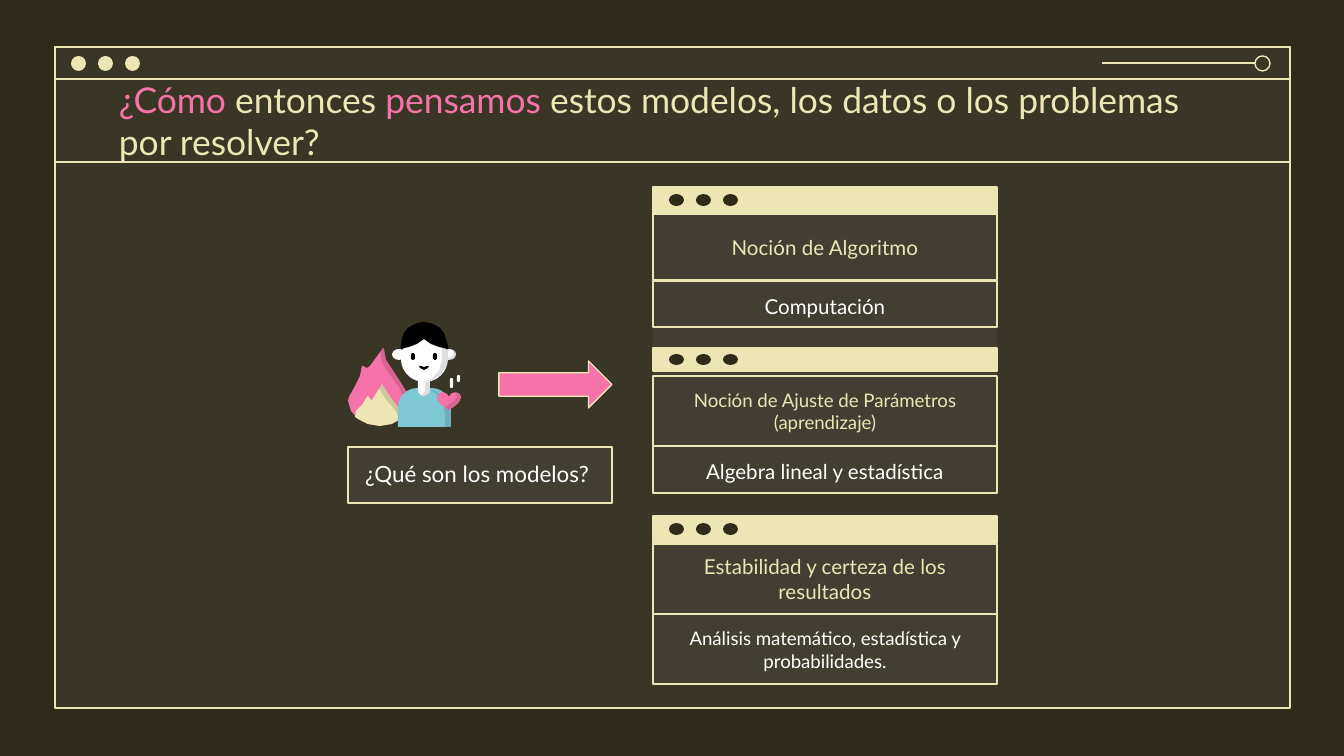
"""Build a slide linking models to algorithms, parameter fitting and certainty."""
from lxml import etree
from pptx import Presentation
from pptx.dml.color import RGBColor
from pptx.enum.shapes import MSO_CONNECTOR, MSO_SHAPE
from pptx.enum.text import MSO_ANCHOR, PP_ALIGN
from pptx.oxml.ns import qn
from pptx.util import Pt

RECT, OVAL, PILL = MSO_SHAPE.RECTANGLE, MSO_SHAPE.OVAL, MSO_SHAPE.ROUNDED_RECTANGLE
TORSO, HEART, ARROW = MSO_SHAPE.ROUND_2_SAME_RECTANGLE, MSO_SHAPE.HEART, MSO_SHAPE.RIGHT_ARROW
STRAIGHT = MSO_CONNECTOR.STRAIGHT
LEFT, CENTER = PP_ALIGN.LEFT, PP_ALIGN.CENTER
TOP, MIDDLE = MSO_ANCHOR.TOP, MSO_ANCHOR.MIDDLE
OUTLINE = "outline"

PX = 6804
FONT = "Lato"
COLORS = {
    "night": "2F2B19",
    "cream": "ECE5B4",
    "pink": "F673A9",
    "teal": "7EC8D4",
    "white": "FFFFFF",
    "black": "000000",
    "gray": "7C7C7C",
}
PANEL_ALPHA, SHADE_ALPHA = 14, 13
RGB = {name: RGBColor.from_string(value) for name, value in COLORS.items()}

prs = Presentation()
prs.slide_width, prs.slide_height = 1344 * PX, 756 * PX
slide = prs.slides.add_slide(prs.slide_layouts[6])
slide.background.fill.solid()
slide.background.fill.fore_color.rgb = RGB["night"]
shapes = slide.shapes


def draw(kind, geometry, fill=None, line=None, alpha=None):
    if kind == OUTLINE:
        builder = shapes.build_freeform(*geometry[0], scale=PX)
        builder.add_line_segments(geometry[1:], close=True)
        part = builder.convert_to_shape()
    else:
        part = shapes.add_shape(kind, *[value * PX for value in geometry])
    if kind in (PILL, TORSO):
        part.adjustments[0] = 0.5
    part.shadow.inherit = False
    if fill:
        part.fill.solid()
        part.fill.fore_color.rgb = RGB[fill]
    else:
        part.fill.background()
    if alpha:
        color = part.element.spPr.find(qn("a:solidFill"))[0]
        etree.SubElement(color, qn("a:alpha"), val=str(alpha * 1000))
    if line:
        part.line.color.rgb = RGB[line]
        part.line.width = Pt(0.75)
    else:
        part.line.fill.background()
    return part


def write(part, runs, size, align=CENTER, anchor=TOP):
    frame = part.text_frame
    layout = {"word_wrap": True, "vertical_anchor": anchor}
    layout.update({f"margin_{side}": 13 * PX for side in ("left", "top", "right", "bottom")})
    for name, value in layout.items():
        setattr(frame, name, value)
    paragraph = frame.paragraphs[0]
    paragraph.alignment = align
    for text, color in runs:
        run = paragraph.add_run()
        run.text = text
        for name, value in {"name": FONT, "size": Pt(size)}.items():
            setattr(run.font, name, value)
        run.font.color.rgb = RGB[color]


# Window
draw(RECT, (55, 48, 1234, 661), "gray", alpha=PANEL_ALPHA)
for height in (661, 32):
    draw(RECT, (55, 47, 1235, height), line="cream")
for i in range(3):
    draw(OVAL, (71 + 27 * i, 56, 15, 15), "cream")
draw(OVAL, (1255, 56, 15, 15), line="cream")
for start, end, y in ((1102, 1255, 63), (55, 1290, 162)):
    rule = shapes.add_connector(STRAIGHT, start * PX, y * PX, end * PX, y * PX)
    rule.line.color.rgb = RGB["cream"]
    rule.line.width = Pt(0.75)
    etree.SubElement(rule.element.spPr, qn("a:effectLst"))

heading = shapes.add_textbox(106 * PX, 79 * PX, 1133 * PX, 83 * PX)
write(heading, [
    ("¿Cómo", "pink"),
    (" entonces ", "cream"),
    ("pensamos", "pink"),
    (" estos modelos, los datos o los problemas por resolver?", "cream"),
], 19, LEFT, MIDDLE)

draw(RECT, (348, 447, 264, 56), "gray", alpha=PANEL_ALPHA)
question = draw(RECT, (348, 447, 264, 56), line="cream")
write(question, [("¿Qué son los modelos? ", "white")], 12)

flame = [(383, 348), (378, 355), (370, 366), (367, 368), (363, 366), (362, 366),
         (360, 376), (354, 388), (349, 397), (348, 401), (351, 411), (358, 419),
         (368, 424), (379, 426), (392, 423), (398, 421), (407, 410), (409, 396),
         (403, 386), (394, 372), (386, 360), (384, 349)]
flame_shade = [(383, 348), (380, 351), (382, 362), (390, 375), (399, 387), (405, 399),
               (401, 411), (394, 422), (392, 423)] + flame[15:]
core = [(382, 384), (372, 400), (371, 400), (368, 396), (367, 397), (362, 405),
        (356, 411), (355, 417), (358, 419), (368, 424), (380, 426), (392, 424),
        (402, 418), (400, 410), (395, 403), (391, 398)]
core_shade = [(382, 384), (379, 388), (387, 401), (392, 406), (397, 413), (399, 421)] + core[12:]
torso_shade = [(422, 388), (431, 390), (438, 395), (443, 404), (445, 414), (445, 427),
               (451, 427), (451, 414), (449, 404), (442, 395), (433, 390), (424, 388)]
neck_shade = [(425, 376), (425, 391), (422, 395), (424, 396), (428, 395), (430, 391), (430, 376)]
hair = [(401, 349), (401, 345), (402, 339), (404, 333), (408, 328), (413, 325), (418, 323),
        (424, 322), (430, 323), (435, 325), (440, 328), (444, 333), (446, 339), (448, 345),
        (448, 349), (439, 347), (431, 344), (424, 339), (417, 344), (409, 347)]
hair_shade = hair[7:15] + [(442, 348), (442, 345), (440, 335), (432, 326), (422, 322)]
ear_shade = [(452, 350), (454, 353), (452, 357), (448, 358), (448, 360), (451, 360),
             (455, 358), (456, 355), (455, 352)]
mouth = [(419, 366), (421, 366), (424, 367), (427, 366), (429, 366), (428, 368),
         (424, 370), (420, 368)]
face_shade = [(442, 344), (442, 360), (439, 371), (432, 379), (422, 382), (424, 382),
              (433, 380), (442, 374), (447, 366), (448, 360), (448, 345)]
heart_shade = [(456, 392), (457, 398), (453, 402), (445, 407), (449, 410), (457, 405),
               (460, 400), (460, 395)]

for kind, geometry, fill, alpha in (
    (OUTLINE, flame, "pink", None),
    (OUTLINE, flame_shade, "black", SHADE_ALPHA),
    (OUTLINE, core, "cream", None),
    (OUTLINE, core_shade, "black", SHADE_ALPHA),
    (TORSO, (398, 388, 53, 39), "teal", None),
    (OUTLINE, torso_shade, "black", SHADE_ALPHA),
    (PILL, (418, 376, 12, 20), "white", None),
    (OUTLINE, neck_shade, "black", SHADE_ALPHA),
    (OVAL, (392, 349, 14, 11), "white", None),
    (OVAL, (442, 349, 14, 11), "white", None),
    (OVAL, (401, 335, 47, 47), "white", None),
    (OUTLINE, hair, "black", None),
    (OUTLINE, ear_shade, "black", SHADE_ALPHA),
    (PILL, (411, 353, 4, 7), "black", None),
    (PILL, (433, 353, 4, 7), "black", None),
    (OUTLINE, mouth, "black", None),
    (OUTLINE, face_shade, "black", SHADE_ALPHA),
    (OUTLINE, hair_shade, "black", SHADE_ALPHA),
    (HEART, (437, 392, 24, 18), "pink", None),
    (OUTLINE, heart_shade, "black", SHADE_ALPHA),
    (PILL, (450, 378, 3, 10), "white", None),
    (PILL, (457, 375, 3, 7), "white", None),
):
    draw(kind, geometry, fill, alpha=alpha)

draw(ARROW, (499, 361, 113, 47), "pink", "cream")

for top, height, bar, dot, topic, field in (
    (187, 175, 27, 12, (214, 66, 11, "Noción de Algoritmo"), (281, 46, 11, "Computación")),
    (348, 145, 23, 11, (376, 70, 10, "Noción de Ajuste de Parámetros (aprendizaje)"),
     (446, 47, 11, "Algebra lineal y estadística")),
    (516, 168, 27, 12, (544, 70, 11, "Estabilidad y certeza de los resultados"),
     (614, 70, 10, "Análisis matemático, estadística y probabilidades.")),
):
    draw(RECT, (653, top, 344, height), "gray", alpha=PANEL_ALPHA)
    draw(RECT, (653, top, 344, bar), "cream", "cream")
    for i in range(3):
        draw(OVAL, (669 + 27 * i, top + (bar - dot) // 2, 15, dot), "night")
    for (y, depth, size, text), color, anchor in ((topic, "cream", MIDDLE), (field, "white", TOP)):
        label = draw(RECT, (653, y, 344, depth), line="cream")
        write(label, [(text, color)], size, anchor=anchor)

prs.save("out.pptx")
